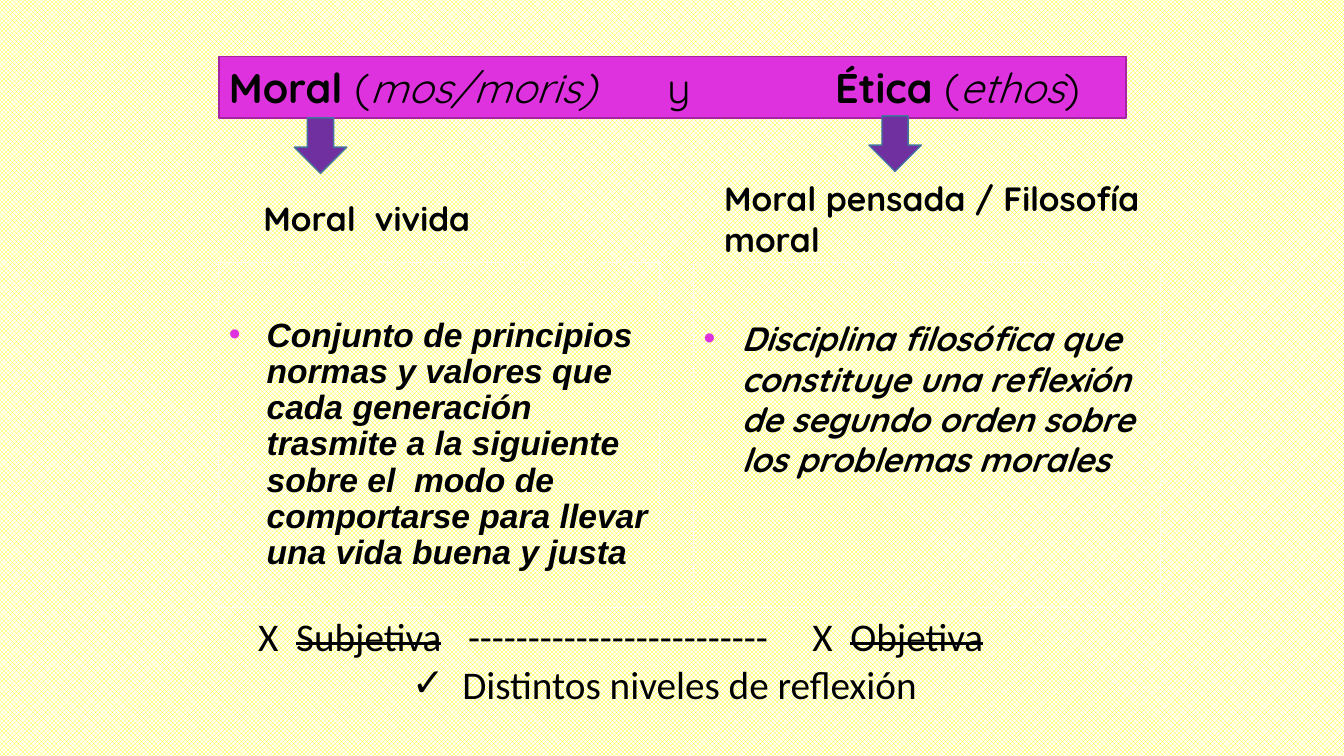
from lxml.etree import SubElement
from pptx import Presentation
from pptx.dml.color import RGBColor
from pptx.enum.dml import MSO_LINE, MSO_PATTERN
from pptx.enum.shapes import MSO_SHAPE
from pptx.enum.text import MSO_ANCHOR, MSO_AUTO_SIZE, PP_ALIGN
from pptx.oxml.ns import qn
from pptx.util import Pt

# Content: runs are (text, format)
BOLD, ITALIC, STRUCK = {"bold": True}, {"italic": True}, {"strike": True}
TITLE = [("Moral ", BOLD), ("(", {}), ("mos/moris)", ITALIC), ("\ty\t", {}),
         ("Ética", BOLD), (" (", {}), ("ethos", ITALIC), (")", {})]
HEADINGS = ["Moral  vivida", "Moral pensada / Filosofía moral"]
DEFINITIONS = [
    "Conjunto de principios normas y valores que cada generación trasmite "
    "a la siguiente sobre el  modo de comportarse para llevar una vida buena y justa",
    "Disciplina filosófica que constituye una reflexión de segundo orden "
    "sobre los problemas morales",
]
CONTRAST = [("\tX  ", {}), ("Subjetiva", STRUCK),
            ("\t" + "-" * 25 + "\tX  ", {}), ("Objetiva", STRUCK)]
CONCLUSION = [("Distintos niveles de reflexión", {})]

THEME = {
    "text": "000000", "paper": "FFFFFF", "pattern": "FFFF00",
    "banner": "DE32DE", "banner_line": "A424A4",
    "arrow": "7030A0", "arrow_line": "43739E",
    "display": "Quicksand", "plain": "Arial", "footer": "Calibri",
    "title_size": 29.6, "body_size": 24, "footer_size": 28,
}

# Layout in points: left, top, width, height
BANNER = (156.24, 40.32, 648, 43.92)
HEADING_BOXES = [(181, 138, 190, 36), (510, 138, 386, 36)]
PANELS = [(156.24, 187.2, 314.64, 246.96), (495.36, 187.2, 333.36, 246.96)]
PANEL_STYLES = [(THEME["plain"], 0.9, 40), (THEME["display"], 1.0, 40)]
ARROWS = [(210.24, 84.24, 37.44, 39.6), (620.64, 82.8, 37.44, 39.6)]
FOOTER = (120.24, 434.16, 708.48, 74.88)


def color(name):
    return RGBColor.from_string(THEME[name])


def place(sp, box):
    for name, value in zip(("left", "top", "width", "height"), box):
        setattr(sp, name, Pt(value))


def paint(sp, fill, line, width):
    if fill:
        sp.fill.solid()
        sp.fill.fore_color.rgb = color(fill)
    sp.line.color.rgb = color(line)
    sp.line.width = Pt(width)


def frame(sp, anchor, wrap=True):
    tf = sp.text_frame
    settings = {"auto_size": MSO_AUTO_SIZE.NONE, "vertical_anchor": anchor, "word_wrap": wrap}
    for name, value in settings.items():
        setattr(tf, name, value)
    return tf


def write(p, runs, font, size, align=PP_ALIGN.LEFT, spacing=1.0):
    settings = {"alignment": align, "line_spacing": spacing,
                "space_before": Pt(0), "space_after": Pt(0)}
    for name, value in settings.items():
        setattr(p, name, value)
    for text, fmt in runs:
        r = p.add_run()
        r.text = text
        base = {"name": font, "size": Pt(size), "bold": False, "italic": False}
        for name, value in {**base, **fmt}.items():
            if name == "strike":
                r.font._element.set("strike", "sngStrike")
            else:
                setattr(r.font, name, value)
        r.font.color.rgb = color("text")


def bullet(p, char, indent, tint):
    """Give the paragraph a hanging bullet."""
    pPr = p._p.get_or_add_pPr()
    pPr.set("marL", str(Pt(indent)))
    pPr.set("indent", str(Pt(-indent)))
    clr = SubElement(pPr, qn("a:buClr"))
    SubElement(clr, qn("a:srgbClr"), val=THEME[tint])
    SubElement(pPr, qn("a:buFont"), typeface="Arial")
    SubElement(pPr, qn("a:buChar"), char=char)


def no_bullet(p):
    pPr = p._p.get_or_add_pPr()
    pPr.set("marL", "0")
    pPr.set("indent", "0")
    SubElement(pPr, qn("a:buNone"))


def tabs(p, stops):
    tab_list = SubElement(p._p.get_or_add_pPr(), qn("a:tabLst"))
    for stop in stops:
        SubElement(tab_list, qn("a:tab"), pos=str(Pt(stop)), algn="l")


def add_banner(slide):
    sp = slide.shapes.title
    place(sp, BANNER)
    paint(sp, "banner", "banner_line", 1.25)
    p = frame(sp, MSO_ANCHOR.MIDDLE).paragraphs[0]
    write(p, TITLE, THEME["display"], THEME["title_size"])
    tabs(p, [313, 433])


def add_heading(sp, text, box):
    place(sp, box)
    p = frame(sp, MSO_ANCHOR.MIDDLE, wrap=False).paragraphs[0]
    write(p, [(text, BOLD)], THEME["display"], THEME["body_size"])
    no_bullet(p)


def add_panel(sp, text, box, style):
    font, spacing, inset = style
    place(sp, box)
    paint(sp, None, "paper", 0.75)
    sp.line.dash_style = MSO_LINE.ROUND_DOT
    tf = frame(sp, MSO_ANCHOR.TOP)
    tf.margin_top = Pt(inset)
    p = tf.paragraphs[0]
    write(p, [(text, {**BOLD, **ITALIC})], font, THEME["body_size"], spacing=spacing)
    bullet(p, "•", 27, "banner")


def add_arrow(slide, box):
    sp = slide.shapes.add_shape(MSO_SHAPE.DOWN_ARROW, *map(Pt, box))
    sp.shadow.inherit = False
    paint(sp, "arrow", "arrow_line", 1)


def add_footer(slide):
    tf = frame(slide.shapes.add_textbox(*map(Pt, FOOTER)), MSO_ANCHOR.TOP)
    font, size = THEME["footer"], THEME["footer_size"]
    p = tf.paragraphs[0]
    write(p, CONTRAST, font, size)
    tabs(p, [57, 207, 453])
    p = tf.add_paragraph()
    write(p, CONCLUSION, font, size, PP_ALIGN.CENTER)
    bullet(p, "✓", 36, "text")


def main():
    prs = Presentation()
    prs.slide_width, prs.slide_height = Pt(960), Pt(540)
    slide = prs.slides.add_slide(prs.slide_layouts[4])
    fill = slide.background.fill
    fill.patterned()
    fill.pattern = MSO_PATTERN.TRELLIS
    fill.fore_color.rgb, fill.back_color.rgb = color("pattern"), color("paper")

    holders = {sp.placeholder_format.idx: sp for sp in slide.placeholders}
    add_banner(slide)
    for i in range(2):
        add_heading(holders[2 * i + 1], HEADINGS[i], HEADING_BOXES[i])
        add_panel(holders[2 * i + 2], DEFINITIONS[i], PANELS[i], PANEL_STYLES[i])
        add_arrow(slide, ARROWS[i])
    add_footer(slide)
    prs.save("out.pptx")


if __name__ == "__main__":
    main()
